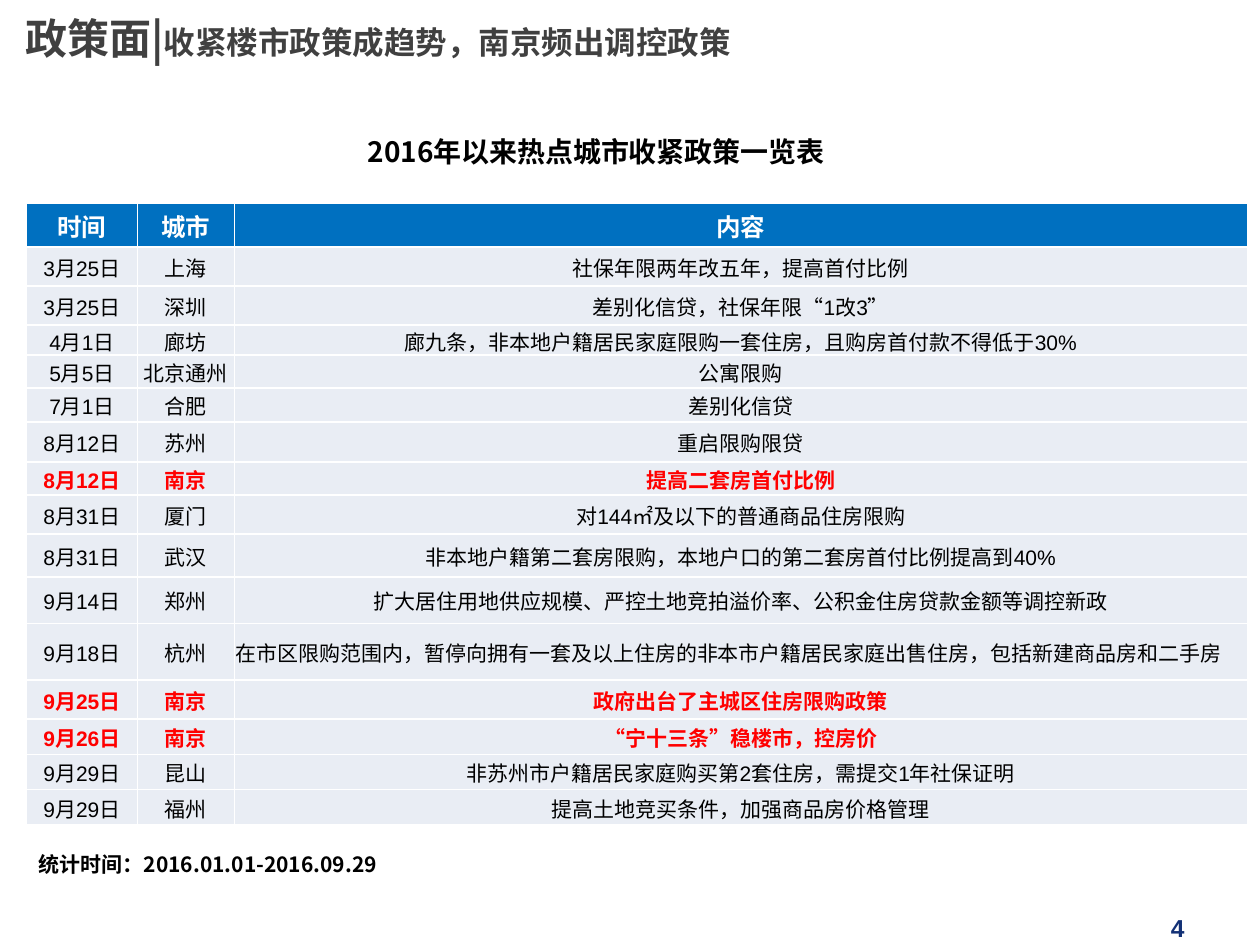
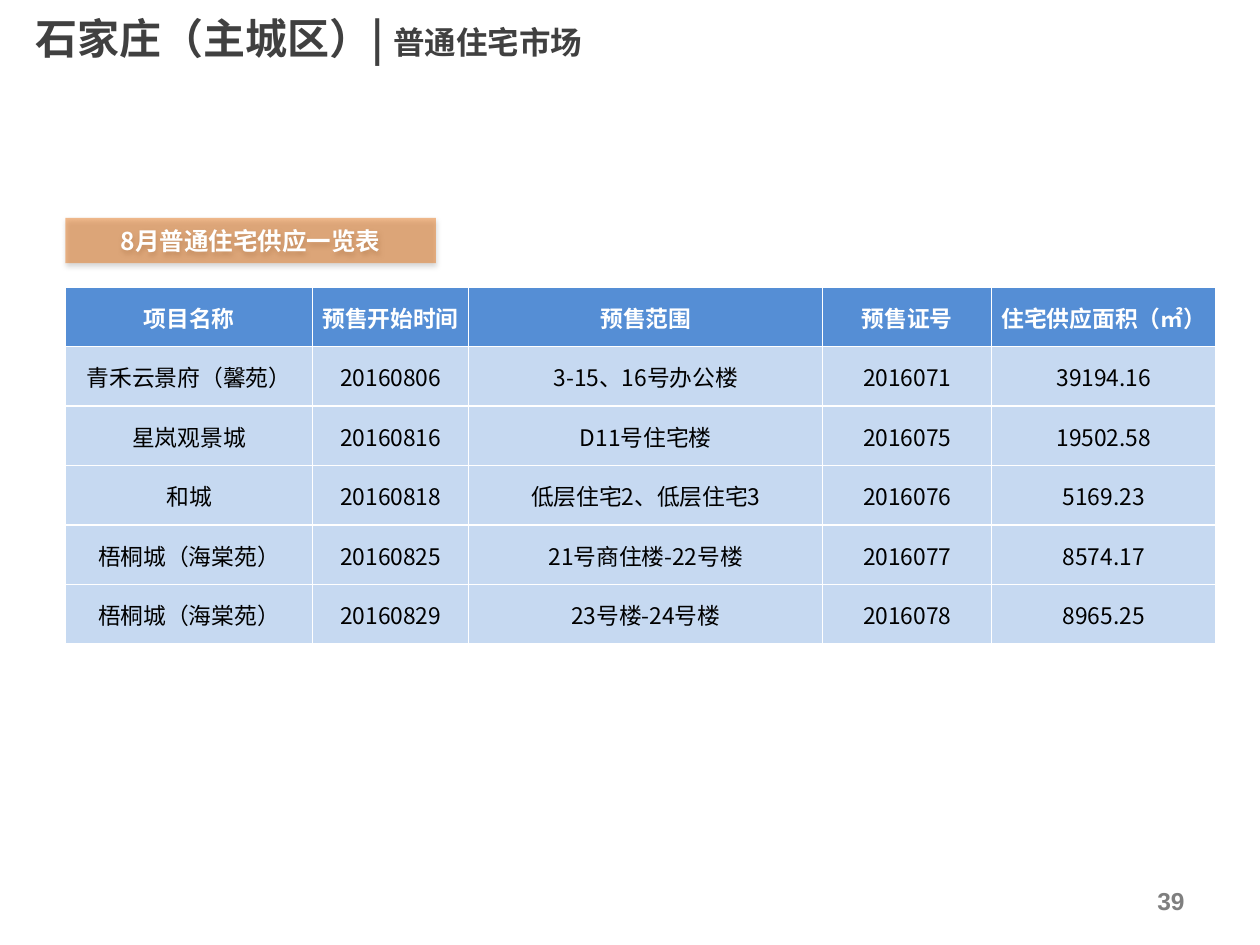
from dataclasses import dataclass

from lxml import etree
from pptx import Presentation
from pptx import util as u
from pptx.dml.color import RGBColor
from pptx.enum import shapes, text
from pptx.oxml import ns

GRID_COLUMNS, GRID_ROWS = 100, 75
TITLE_ONLY_LAYOUT = 5
CENTER, LEFT, RIGHT = text.PP_ALIGN.CENTER, text.PP_ALIGN.LEFT, text.PP_ALIGN.RIGHT


@dataclass(frozen=True)
class Theme:
    heading_font: str = "Noto Sans CJK SC"
    number_font: str = "Arial"
    title: str = "404040"
    ink: str = "000000"
    white: str = "FFFFFF"
    alert: str = "FF0000"
    navy: str = "133176"
    grey: str = "7F7F7F"
    badge: str = "E46C0A"
    title_size: int = 24
    subtitle_size: int = 18
    caption_size: int = 16
    label_size: int = 14
    note_size: int = 12


@dataclass(frozen=True)
class TableStyle:
    font: str
    head_fill: str
    body_fill: str
    head_size: int
    body_size: int


THEME = Theme()
POLICY_STYLE = TableStyle(THEME.number_font, "0070C0", "E9EDF4", 14, 12)
SUPPLY_STYLE = TableStyle(THEME.heading_font, "558ED5", "C6D9F1", 13, 13)

POLICIES = [
    ("时间", "城市", "内容"),
    ("3月25日", "上海", "社保年限两年改五年，提高首付比例"),
    ("3月25日", "深圳", "差别化信贷，社保年限“1改3”"),
    ("4月1日", "廊坊", "廊九条，非本地户籍居民家庭限购一套住房，且购房首付款不得低于30%"),
    ("5月5日", "北京通州", "公寓限购"),
    ("7月1日", "合肥", "差别化信贷"),
    ("8月12日", "苏州", "重启限购限贷"),
    ("8月12日", "南京", "提高二套房首付比例"),
    ("8月31日", "厦门", "对144㎡及以下的普通商品住房限购"),
    ("8月31日", "武汉", "非本地户籍第二套房限购，本地户口的第二套房首付比例提高到40%"),
    ("9月14日", "郑州", "扩大居住用地供应规模、严控土地竞拍溢价率、公积金住房贷款金额等调控新政"),
    ("9月18日", "杭州",
     "在市区限购范围内，暂停向拥有一套及以上住房的非本市户籍居民家庭出售住房，包括新建商品房和二手房"),
    ("9月25日", "南京", "政府出台了主城区住房限购政策"),
    ("9月26日", "南京", "“宁十三条”稳楼市，控房价"),
    ("9月29日", "昆山", "非苏州市户籍居民家庭购买第2套住房，需提交1年社保证明"),
    ("9月29日", "福州", "提高土地竞买条件，加强商品房价格管理"),
]
POLICY_ROW_HEIGHTS = [3.5, 3.1, 3.1, 2.4, 2.6, 2.7, 3.2, 2.6,
                      3.1, 3.4, 3.7, 4.5, 3.1, 2.8, 2.8, 2.8]
FOCUS_CITY = "南京"
FULL_LINE = 40  # characters; longer cells start at the left edge

SUPPLY = [
    ("项目名称", "预售开始时间", "预售范围", "预售证号", "住宅供应面积（㎡）"),
    ("青禾云景府（馨苑）", "20160806", "3-15、16号办公楼", "2016071", "39194.16"),
    ("星岚观景城", "20160816", "D11号住宅楼", "2016075", "19502.58"),
    ("和城", "20160818", "低层住宅2、低层住宅3", "2016076", "5169.23"),
    ("梧桐城（海棠苑）", "20160825", "21号商住楼-22号楼", "2016077", "8574.17"),
    ("梧桐城（海棠苑）", "20160829", "23号楼-24号楼", "2016078", "8965.25"),
]


def add_xml(parent, tag, **attributes):
    return etree.SubElement(parent, ns.qn(tag), attributes)


class Deck:
    """Holds the theme and the current slide; lengths are grid units."""

    def __init__(self, theme):
        self.theme = theme
        self.presentation = Presentation()
        self.presentation.slide_width = u.Inches(10)
        self.presentation.slide_height = u.Inches(7.5)
        self.slide = None

    def across(self, columns):
        return round(self.presentation.slide_width * columns / GRID_COLUMNS)

    def down(self, rows):
        return round(self.presentation.slide_height * rows / GRID_ROWS)

    def box(self, left, top, width, height):
        return self.across(left), self.down(top), self.across(width), self.down(height)

    def format_run(self, run, size, color, font=None, bold=True):
        run.font.size, run.font.bold = u.Pt(size), bold
        run.font.color.rgb = RGBColor.from_string(color)
        run.font.name = font or self.theme.heading_font
        east_asian = etree.Element(ns.qn("a:ea"), typeface=self.theme.heading_font)
        run.font._element.find(ns.qn("a:latin")).addnext(east_asian)

    def set_words(self, text_frame, words, size, color, font=None, bold=True, align=LEFT):
        text_frame.text = words
        paragraph = text_frame.paragraphs[0]
        paragraph.alignment = align
        self.format_run(paragraph.runs[0], size, color, font, bold)

    def new_slide(self, section, topic, box):
        layout = self.presentation.slide_layouts[TITLE_ONLY_LAYOUT]
        self.slide = self.presentation.slides.add_slide(layout)
        title = self.slide.shapes.title
        title.left, title.top, title.width, title.height = self.box(*box)
        text_frame = title.text_frame
        text_frame.auto_size = text.MSO_AUTO_SIZE.NONE
        text_frame.vertical_anchor = text.MSO_ANCHOR.MIDDLE
        self.set_words(text_frame, section, self.theme.title_size, self.theme.title)
        topic_run = text_frame.paragraphs[0].add_run()
        topic_run.text = topic
        self.format_run(topic_run, self.theme.subtitle_size, self.theme.title)

    def text_box(self, words, box, size, color, anchor=text.MSO_ANCHOR.TOP, **style):
        text_frame = self.slide.shapes.add_textbox(*self.box(*box)).text_frame
        text_frame.word_wrap = True
        text_frame.vertical_anchor = anchor
        self.set_words(text_frame, words, size, color, **style)

    def page_number(self, number, top, color):
        self.text_box(str(number), (71.7, top, 23.3, 4), self.theme.label_size, color,
                      text.MSO_ANCHOR.MIDDLE, font=self.theme.number_font, align=RIGHT)

    def badge(self, words, box):
        """Add a translucent label with a soft shadow below it."""
        shape = self.slide.shapes.add_shape(shapes.MSO_SHAPE.RECTANGLE, *self.box(*box))
        shape.fill.solid()
        shape.fill.fore_color.rgb = RGBColor.from_string(self.theme.badge)
        shape.line.fill.background()
        properties = shape._element.spPr
        add_xml(properties.find(".//" + ns.qn("a:srgbClr")), "a:alpha", val="46000")
        shape.shadow.inherit = False
        shadow = add_xml(properties.find(ns.qn("a:effectLst")), "a:outerShdw",
                         blurRad=str(u.Pt(3.1)), dist=str(u.Pt(1.8)), dir="5400000",
                         algn="t", rotWithShape="0")
        shadow_color = add_xml(shadow, "a:srgbClr", val=self.theme.ink)
        add_xml(shadow_color, "a:alpha", val="35000")
        shape.text_frame.vertical_anchor = text.MSO_ANCHOR.MIDDLE
        self.set_words(shape.text_frame, words, self.theme.label_size, self.theme.white,
                       align=CENTER)

    def border_cell(self, cell):
        properties = cell._tc.get_or_add_tcPr()
        for position, side in enumerate(("a:lnL", "a:lnR", "a:lnT", "a:lnB")):
            line = etree.Element(ns.qn(side), w=str(u.Pt(1)))
            add_xml(add_xml(line, "a:solidFill"), "a:srgbClr", val=self.theme.white)
            properties.insert(position, line)

    def fill_cell(self, cell, words, style, is_head, is_focus):
        cell.fill.solid()
        fill = style.head_fill if is_head else style.body_fill
        cell.fill.fore_color.rgb = RGBColor.from_string(fill)
        self.border_cell(cell)
        cell.margin_left = cell.margin_right = cell.margin_top = u.Inches(0.01)
        cell.margin_bottom = 0
        cell.vertical_anchor = text.MSO_ANCHOR.MIDDLE
        body_color = self.theme.alert if is_focus else self.theme.ink
        self.set_words(cell.text_frame, words,
                       style.head_size if is_head else style.body_size,
                       self.theme.white if is_head else body_color,
                       style.font, is_head or is_focus,
                       LEFT if len(words) > FULL_LINE else CENTER)

    def table(self, records, left, top, widths, heights, style):
        box = self.box(left, top, sum(widths), sum(heights))
        table = self.slide.shapes.add_table(len(records), len(widths), *box).table
        for column, width in zip(table.columns, widths):
            column.width = self.across(width)
        for index, (row, height, record) in enumerate(zip(table.rows, heights, records)):
            row.height = self.down(height)
            for cell, words in zip(row.cells, record):
                self.fill_cell(cell, words, style, index == 0, FOCUS_CITY in record)


def add_policy_slide(deck):
    theme = deck.theme
    deck.new_slide("政策面|", "收紧楼市政策成趋势，南京频出调控政策", (1, 0.4, 64.5, 5.2))
    deck.page_number(4, 71.6, theme.navy)
    deck.table(POLICIES, 2.1, 16.1, [8.8, 7.7, 80.4], POLICY_ROW_HEIGHTS, POLICY_STYLE)
    deck.text_box("2016年以来热点城市收紧政策一览表", (28.2, 10.2, 40.9, 3.7),
                  theme.caption_size, theme.ink)
    deck.text_box("统计时间：2016.01.01-2016.09.29", (2.1, 67.1, 49.7, 3),
                  theme.note_size, theme.ink)


def add_supply_slide(deck):
    deck.new_slide("石家庄（主城区）| ", "普通住宅市场", (1.8, 0.4, 59.7, 5.2))
    deck.page_number(39, 69.5, deck.theme.grey)
    deck.badge("8月普通住宅供应一览表", (5.2, 17.3, 29.4, 3.6))
    deck.table(SUPPLY, 5.2, 22.8, [19.6, 12.4, 28.1, 13.4, 17.8],
               [4.72] * len(SUPPLY), SUPPLY_STYLE)


def main():
    deck = Deck(THEME)
    add_policy_slide(deck)
    add_supply_slide(deck)
    deck.presentation.save("out.pptx")


if __name__ == "__main__":
    main()
